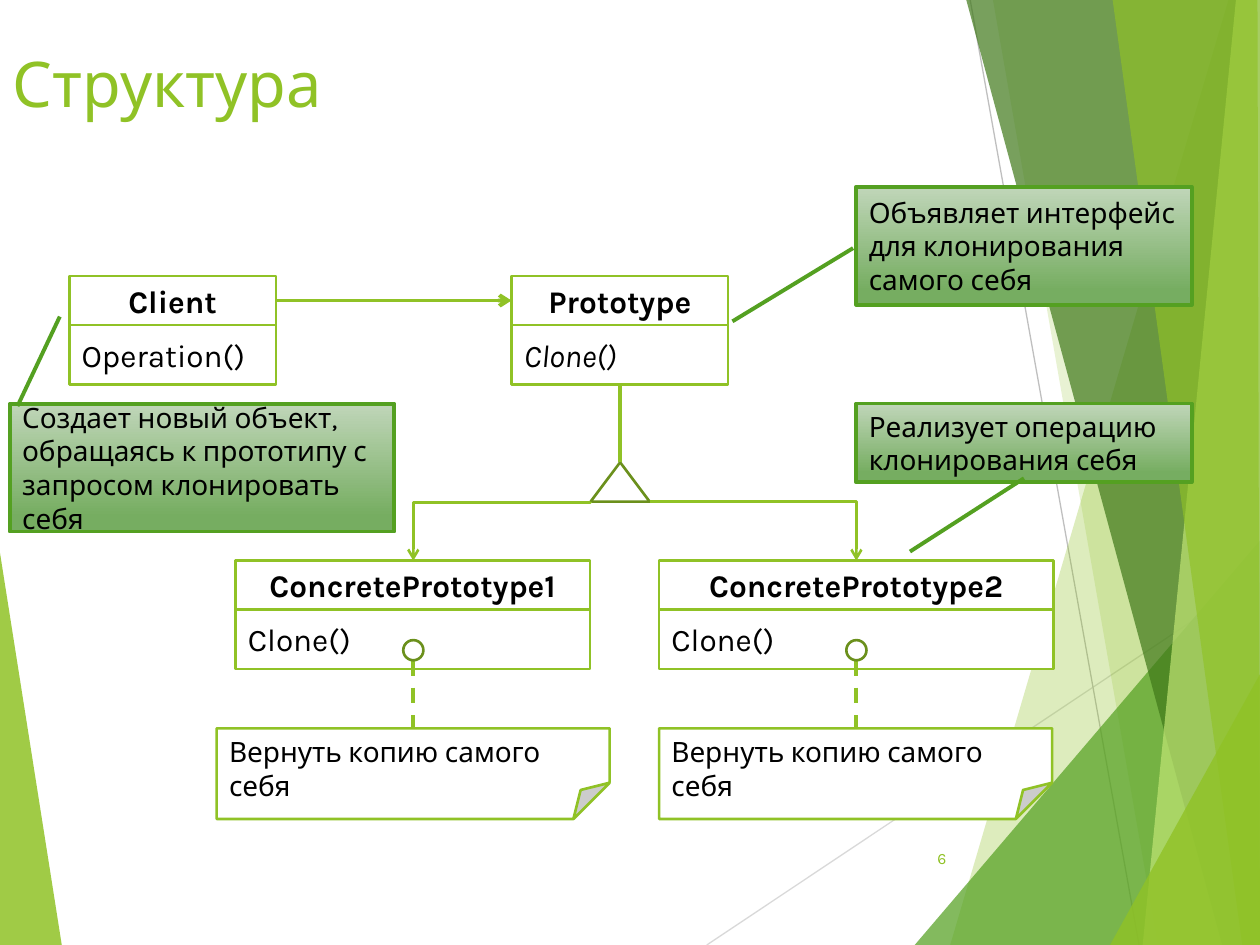
"""Build the slide showing the structure of the Prototype pattern."""
from collections import namedtuple

from lxml import etree
from pptx import Presentation
from pptx.dml.color import RGBColor
from pptx.enum.dml import MSO_LINE
from pptx.enum.shapes import MSO_CONNECTOR, MSO_SHAPE
from pptx.enum.text import MSO_ANCHOR, PP_ALIGN
from pptx.oxml.ns import qn
from pptx.util import Pt

RECTANGLE, TRIANGLE, OVAL = MSO_SHAPE.RECTANGLE, MSO_SHAPE.ISOSCELES_TRIANGLE, MSO_SHAPE.OVAL
FOLDED_CORNER, CALLOUT = MSO_SHAPE.FOLDED_CORNER, MSO_SHAPE.LINE_CALLOUT_1
STRAIGHT, ELBOW = MSO_CONNECTOR.STRAIGHT, MSO_CONNECTOR.ELBOW
LEFT, CENTER, RIGHT = PP_ALIGN.LEFT, PP_ALIGN.CENTER, PP_ALIGN.RIGHT
TOP, MIDDLE = MSO_ANCHOR.TOP, MSO_ANCHOR.MIDDLE
DASH = MSO_LINE.DASH

FONT = "Karla"
LIME, PALE_LIME = RGBColor(0x90, 0xC2, 0x26), RGBColor(0xC0, 0xE4, 0x74)
GREEN, DARK_GREEN = RGBColor(0x54, 0xA0, 0x21), RGBColor(0x3F, 0x78, 0x19)
OLIVE = RGBColor(0x6B, 0x90, 0x1C)
CALLOUT_TOP, CALLOUT_BOTTOM = RGBColor(0xC0, 0xD6, 0xB9), RGBColor(0x76, 0xAD, 0x61)
LIGHT_GRAY, GRAY = RGBColor(0xD9, 0xD9, 0xD9), RGBColor(0xBF, 0xBF, 0xBF)
WHITE, BLACK = RGBColor(0xFF, 0xFF, 0xFF), RGBColor(0, 0, 0)

WIDTH, HEIGHT = 720, 540
HEADER_HEIGHT, BODY_HEIGHT = 28.1, 33.8
CLASS_TOP, CONCRETE_TOP = 157.7, 320.4
NOTE_TOP, NOTE_WIDTH, NOTE_HEIGHT = 416.2, 224.6, 51.8
CIRCLE_TOP, CIRCLE_SIZE = 365.8, 11.5
TRIANGLE_LEFT, TRIANGLE_TOP, TRIANGLE_WIDTH, TRIANGLE_HEIGHT = 337.5, 264.2, 33.8, 22.5

Facet = namedtuple("Facet", "color opacity points")
ClassBox = namedtuple("ClassBox", "name method left top width italic", defaults=[False])
Callout = namedtuple("Callout", "text box pointer")
Branch = namedtuple("Branch", "start_x end_x note_left bend")

LEFT_FACET = Facet(LIME, 85, [(0, 316), (35.3, HEIGHT), (0, HEIGHT)])
RIGHT_FACETS = [
    Facet(LIME, 30, [(702, 0), (543, HEIGHT), (WIDTH, HEIGHT), (WIDTH, 0)]),
    Facet(LIME, 20, [(567.4, 0), (661.7, HEIGHT), (WIDTH, HEIGHT), (WIDTH, 0)]),
    Facet(GREEN, 72, [(522.7, HEIGHT), (WIDTH, 308.9), (WIDTH, HEIGHT)]),
    Facet(DARK_GREEN, 70, [(552.2, 0), (698.4, HEIGHT), (WIDTH, HEIGHT), (WIDTH, 0)]),
    Facet(PALE_LIME, 70, [(706.3, 0), (653, HEIGHT), (WIDTH, HEIGHT), (WIDTH, 0)]),
    Facet(LIME, 65, [(635.8, 0), (709.9, HEIGHT), (WIDTH, HEIGHT), (718.6, 0)]),
    Facet(LIME, 80, [(634.3, HEIGHT), (WIDTH, 385.2), (WIDTH, HEIGHT)]),
]
CLASSES = [
    ClassBox("Client", "Operation()", 39.6, CLASS_TOP, 118.1),
    ClassBox("Prototype", "Clone()", 292.3, CLASS_TOP, 123.8, italic=True),
    ClassBox("ConcretePrototype1", "Clone()", 134.6, CONCRETE_TOP, 202.5),
    ClassBox("ConcretePrototype2", "Clone()", 376.6, CONCRETE_TOP, 225.4),
]
BRANCHES = [
    Branch(TRIANGLE_LEFT, 236.2, 123.8, 0.01),
    Branch(TRIANGLE_LEFT + TRIANGLE_WIDTH, 489.4, 376.6, 0),
]
CALLOUTS = [
    Callout("Объявляет интерфейс для клонирования самого себя",
            (489.4, 106.7, 191.5, 67.5), (0.52, -0.01, 1.14, -0.37)),
    Callout("Реализует операцию клонирования себя",
            (489.4, 230.6, 191.5, 45), (0.95, 0.5, 1.88, 0.16)),
    Callout("Создает новый объект, обращаясь к прототипу с запросом клонировать себя",
            (5.6, 230.6, 219.7, 73.1), (0.02, 0.02, -0.68, 0.13)),
]


def set_text(shape, text: str, size: float, color=BLACK, align=LEFT, anchor=MIDDLE,
             bold=False, italic=False) -> None:
    frame = shape.text_frame
    frame.text = text
    frame.word_wrap = True
    frame.vertical_anchor = anchor
    paragraph = frame.paragraphs[0]
    paragraph.alignment = align
    font = paragraph.runs[0].font
    font.name, font.size, font.color.rgb = FONT, Pt(size), color
    font.bold, font.italic = bold, italic


def set_guides(shape, **guides: float) -> None:
    values = shape._element.spPr.find(qn("a:prstGeom")).get_or_add_avLst()
    for guide in list(values):
        values.remove(guide)
    for name, value in guides.items():
        etree.SubElement(values, qn("a:gd"), name=name, fmla=f"val {round(value * 100000)}")


def add_outlined(slide, kind, box, color=LIME, weight=1.5, fill=None):
    shape = slide.shapes.add_shape(kind, *map(Pt, box))
    shape.shadow.inherit = False
    shape.line.color.rgb, shape.line.width = color, Pt(weight)
    shape.fill.background()
    if fill is not None:
        shape.fill.solid()
        shape.fill.fore_color.rgb = fill
    return shape


def add_line(slide, start, end, color=LIME, weight=2.25, kind=STRAIGHT, arrow=False, dash=None):
    connector = slide.shapes.add_connector(kind, *map(Pt, (*start, *end)))
    line = connector.line
    line.color.rgb, line.width = color, Pt(weight)
    if dash is not None:
        line.dash_style = dash
    properties = connector._element.spPr
    if arrow:
        etree.SubElement(properties.find(qn("a:ln")), qn("a:tailEnd"), type="arrow")
    etree.SubElement(properties, qn("a:effectLst"))
    return connector


def add_facet(slide, facet: Facet) -> None:
    points = [(Pt(x), Pt(y)) for x, y in facet.points]
    builder = slide.shapes.build_freeform(*points[0])
    builder.add_line_segments(points[1:])
    shape = builder.convert_to_shape()
    shape.shadow.inherit = False
    shape.line.fill.background()
    shape.fill.solid()
    shape.fill.fore_color.rgb = facet.color
    color = shape._element.spPr.find(qn("a:solidFill"))[0]
    etree.SubElement(color, qn("a:alpha"), val=str(facet.opacity * 1000))


def add_class(slide, item: ClassBox) -> None:
    header = (item.left, item.top, item.width, HEADER_HEIGHT)
    body = (item.left, item.top + HEADER_HEIGHT, item.width, BODY_HEIGHT)
    header_shape = add_outlined(slide, RECTANGLE, header, fill=WHITE)
    set_text(header_shape, item.name, 18, align=CENTER, bold=True)
    set_text(add_outlined(slide, RECTANGLE, body, fill=WHITE), item.method, 18, italic=item.italic)


def add_branch(slide, branch: Branch) -> None:
    x, top = branch.end_x, TRIANGLE_TOP + TRIANGLE_HEIGHT
    center_x, center_y = (branch.start_x + x) / 2, (top + CONCRETE_TOP) / 2
    half_drop, half_span = (CONCRETE_TOP - top) / 2, abs(x - branch.start_x) / 2
    side, angle = (-half_drop, 90) if x < branch.start_x else (half_drop, 270)
    elbow = add_line(slide, (center_x + side, center_y - half_span),
                     (center_x - side, center_y + half_span), weight=1.5, kind=ELBOW, arrow=True)
    elbow._element.spPr.find(qn("a:xfrm")).set("rot", str(angle * 60000))
    set_guides(elbow, adj1=branch.bend)

    note_box = (branch.note_left, NOTE_TOP, NOTE_WIDTH, NOTE_HEIGHT)
    note = add_outlined(slide, FOLDED_CORNER, note_box, fill=WHITE)
    set_guides(note, adj=0.4)
    set_text(note, "Вернуть копию самого себя", 16, anchor=TOP)
    add_line(slide, (x, CIRCLE_TOP + CIRCLE_SIZE), (x, NOTE_TOP), dash=DASH)
    add_outlined(slide, OVAL, (x - CIRCLE_SIZE / 2, CIRCLE_TOP, CIRCLE_SIZE, CIRCLE_SIZE), OLIVE)


def add_callout(slide, callout: Callout) -> None:
    shape = add_outlined(slide, CALLOUT, callout.box, GREEN, 2.25)
    set_guides(shape, **{f"adj{n}": value for n, value in enumerate(callout.pointer, 1)})
    shape.fill.gradient()
    shape.fill.gradient_angle = 270
    stops = zip(shape.fill.gradient_stops, (CALLOUT_TOP, CALLOUT_BOTTOM), (0, 0.88))
    for stop, color, position in stops:
        stop.color.rgb, stop.position = color, position
    set_text(shape, callout.text, 16)


def main() -> None:
    presentation = Presentation()
    presentation.slide_width, presentation.slide_height = Pt(WIDTH), Pt(HEIGHT)
    slide = presentation.slides.add_slide(presentation.slide_layouts[6])
    add_facet(slide, LEFT_FACET)
    add_line(slide, (403.9, HEIGHT), (WIDTH, 329), LIGHT_GRAY, 0.75)
    add_line(slide, (554.4, 0), (650.9, HEIGHT), GRAY, 0.75)
    for facet in RIGHT_FACETS:
        add_facet(slide, facet)
    title = slide.shapes.add_textbox(Pt(0), Pt(21.6), Pt(648), Pt(90))
    set_text(title, "Структура", 36, LIME, anchor=TOP)
    for item in CLASSES:
        add_class(slide, item)
    triangle_box = (TRIANGLE_LEFT, TRIANGLE_TOP, TRIANGLE_WIDTH, TRIANGLE_HEIGHT)
    add_outlined(slide, TRIANGLE, triangle_box, OLIVE)
    apex_x = TRIANGLE_LEFT + TRIANGLE_WIDTH / 2
    add_line(slide, (apex_x, CLASS_TOP + HEADER_HEIGHT + BODY_HEIGHT), (apex_x, TRIANGLE_TOP))
    for branch in BRANCHES:
        add_branch(slide, branch)
    client, prototype = CLASSES[:2]
    link_y = CLASS_TOP + HEADER_HEIGHT / 2
    add_line(slide, (client.left + client.width, link_y), (prototype.left, link_y), arrow=True)
    for callout in CALLOUTS:
        add_callout(slide, callout)
    number = slide.shapes.add_textbox(Pt(507.6), Pt(475.9), Pt(40.3), Pt(28.8))
    set_text(number, "6", 9, LIME, align=RIGHT)
    presentation.save("out.pptx")


if __name__ == "__main__":
    main()
